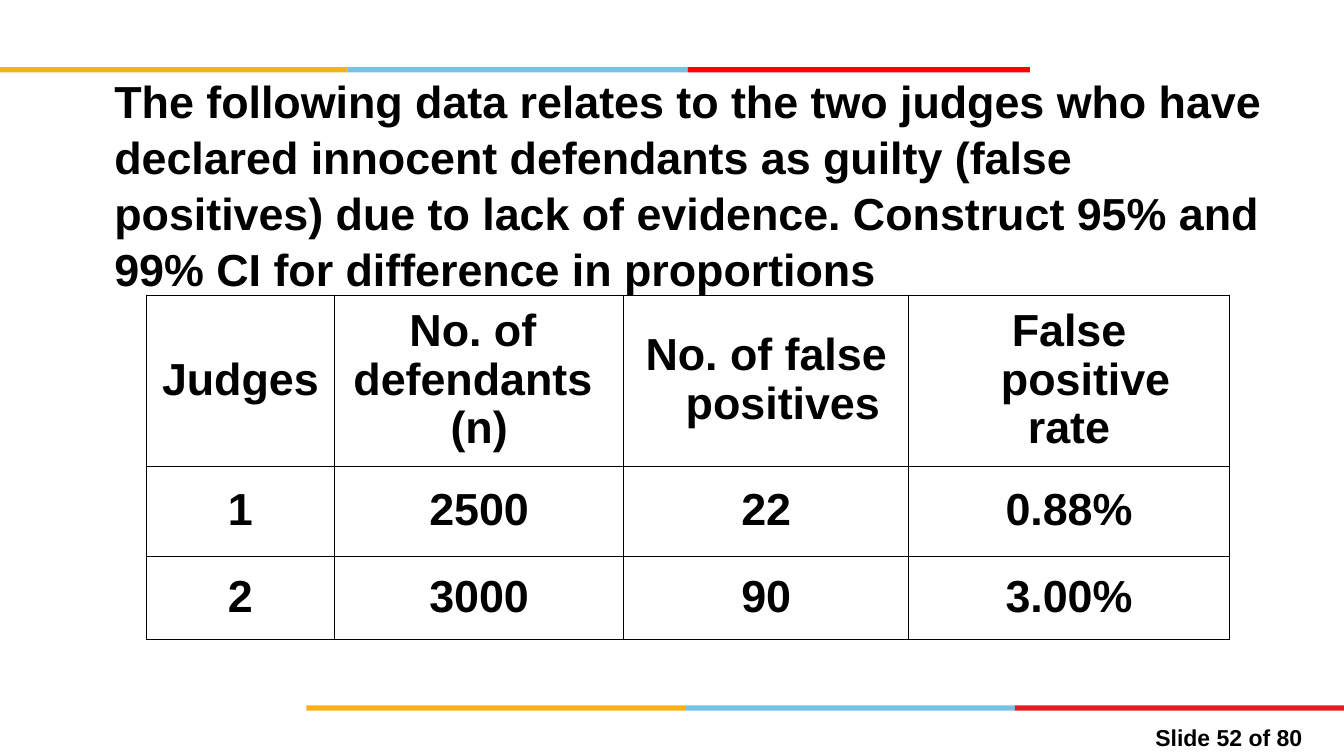
from dataclasses import dataclass
from itertools import pairwise

from lxml.etree import SubElement
from pptx import Presentation
from pptx.dml.color import RGBColor as RGB
from pptx.enum.shapes import MSO_SHAPE as SHAPE
from pptx.enum.text import MSO_ANCHOR as ANCHOR, PP_ALIGN as ALIGN
from pptx.oxml.ns import qn
from pptx.util import Inches, Pt


@dataclass(frozen=True)
class Theme:
    font: str = "Arial"
    ink: str = "000000"
    yellow: str = "FCB017"
    blue: str = "76C2E5"
    red: str = "FF0000"
    crimson: str = "E31C24"
    body: int = 37
    footer: int = 19
    rule: int = 1


def write(tf, text, *, theme, size, align=ALIGN.LEFT, spacing=None, hang=None):
    for i, line in enumerate(text.split("\n")):
        p = tf.add_paragraph() if i else tf.paragraphs[0]
        p.alignment = align
        if spacing:
            p.line_spacing = spacing
        if hang:
            pPr = p._p.get_or_add_pPr()
            pPr.set("marL", str(Inches(hang)))
            pPr.set("indent", str(-Inches(hang)))
        r = p.add_run()
        r.text = line
        r.font.name = theme.font
        r.font.size = Pt(size)
        r.font.bold = True
        r.font.color.rgb = RGB.from_string(theme.ink)


def set_margins(box, x, y):
    box.margin_left = box.margin_right = Inches(x)
    box.margin_top = box.margin_bottom = Inches(y)


class Deck:
    def __init__(self, s, theme):
        self.s = s
        self.theme = theme

    def stripe(self, top, edges, colors):
        for (left, right), color in zip(pairwise(edges), colors):
            sp = self.s.shapes.add_shape(
                SHAPE.RECTANGLE, Inches(left), Inches(top), Inches(right - left), Inches(0.06))
            sp.shadow.inherit = False
            sp.fill.solid()
            sp.fill.fore_color.rgb = RGB.from_string(color)
            sp.line.fill.background()

    def text(self, box, text, *, margins=(0.1, 0.05), **style):
        tf = self.s.shapes.add_textbox(*map(Inches, box)).text_frame
        tf.word_wrap = True
        set_margins(tf, *margins)
        write(tf, text, theme=self.theme, **style)

    def border(self, cell):
        tcPr = cell._tc.get_or_add_tcPr()
        for side in ("lnL", "lnR", "lnT", "lnB"):
            ln = SubElement(tcPr, qn(f"a:{side}"), w=str(Pt(self.theme.rule)))
            fill = SubElement(ln, qn("a:solidFill"))
            SubElement(fill, qn("a:srgbClr"), val=self.theme.ink)

    def table(self, left, top, widths, heights, rows):
        table = self.s.shapes.add_table(
            len(rows), len(widths), Inches(left), Inches(top),
            Inches(sum(widths)), Inches(sum(heights))).table
        table.first_row = table.horz_banding = False
        for col, width in zip(table.columns, widths):
            col.width = Inches(width)
        for row, height, values in zip(table.rows, heights, rows):
            row.height = Inches(height)
            for cell, value in zip(row.cells, values):
                self.border(cell)
                cell.fill.background()
                cell.vertical_anchor = ANCHOR.MIDDLE
                set_margins(cell, 0.15, 0.06)
                write(cell.text_frame, value, theme=self.theme, size=self.theme.body,
                      align=ALIGN.CENTER, spacing=0.97, hang=0.38)


def main():
    prs = Presentation()
    prs.slide_width, prs.slide_height = Inches(15.4), Inches(8.66)
    theme = Theme()
    deck = Deck(prs.slides.add_slide(prs.slide_layouts[6]), theme)

    deck.stripe(0.77, (0, 3.98, 7.88, 11.8), (theme.yellow, theme.blue, theme.red))
    deck.stripe(8.08, (3.51, 7.86, 11.63, 15.4), (theme.yellow, theme.blue, theme.crimson))
    deck.text((12.77, 8.24, 2.25, 0.39), "Slide 52 of 80",
              size=theme.footer, align=ALIGN.RIGHT)
    deck.text(
        (1.17, 0.75, 13.44, 2.63),
        "The following data relates to the two judges who have declared innocent "
        "defendants as guilty (false positives) due to lack of evidence. "
        "Construct 95% and 99% CI for difference in proportions",
        margins=(0.14, 0.07), size=theme.body, spacing=1.04)
    deck.table(1.68, 3.38, (2.15, 3.32, 3.26, 3.68), (1.96, 1.03, 0.96), (
        ("Judges", "No. of \ndefendants \n(n)", "No. of false positives",
         "False positive\nrate"),
        ("1", "2500", "22", "0.88%"),
        ("2", "3000", "90", "3.00%"),
    ))
    prs.save("out.pptx")


if __name__ == "__main__":
    main()
